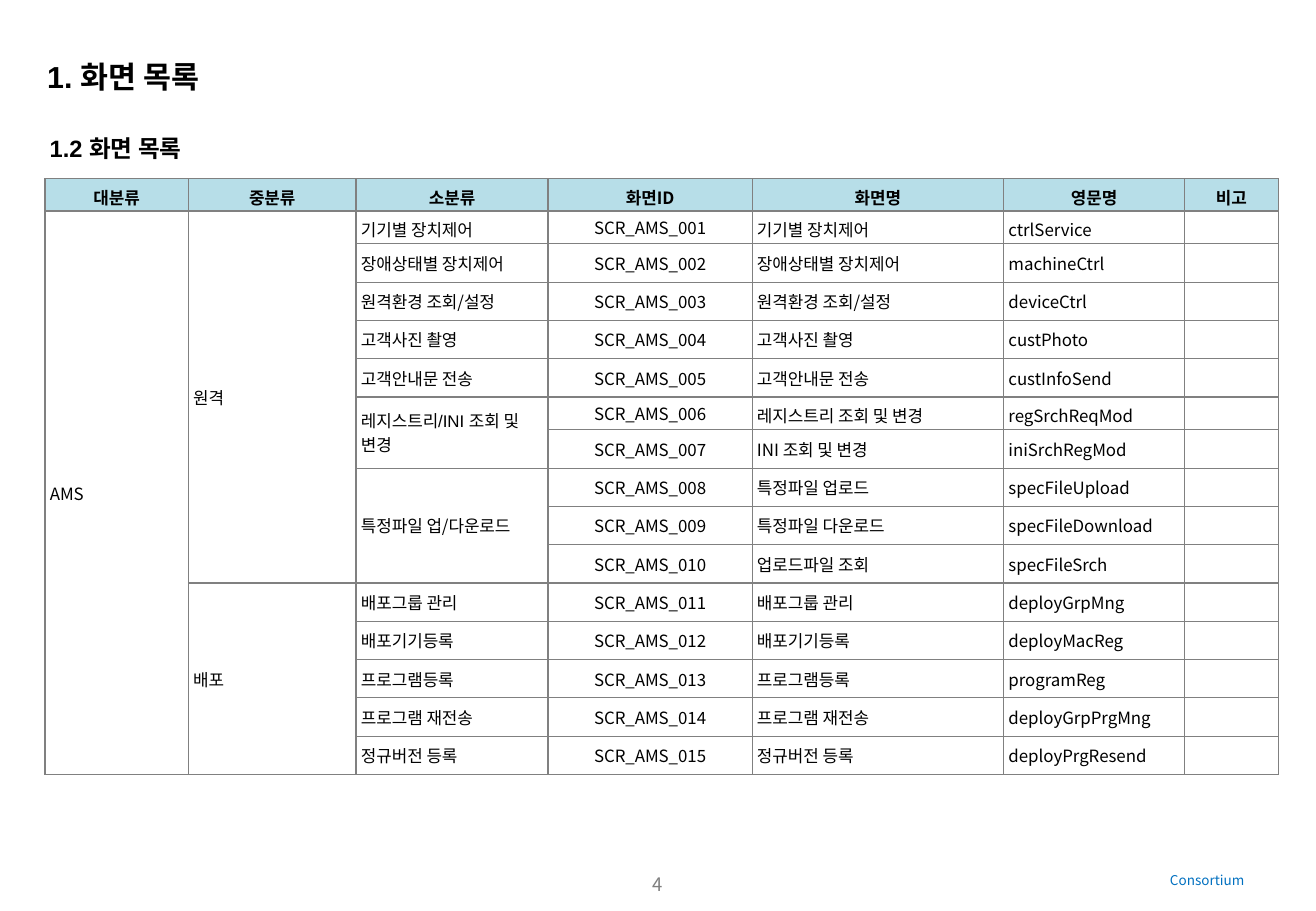
from dataclasses import dataclass

from lxml.etree import SubElement
from pptx import Presentation
from pptx.dml.color import RGBColor
from pptx.enum.text import MSO_ANCHOR, PP_ALIGN
from pptx.oxml.ns import qn
from pptx.util import Inches, Pt


@dataclass(frozen=True)
class Theme:
    latin: str = "Arial"
    korean: str = "Noto Sans CJK KR"
    ink: str = "000000"
    grey: str = "808080"
    blue: str = "0070C0"
    header_fill: str = "B7DEE8"
    title_size: int = 18
    subtitle_size: int = 14
    page_size: int = 11
    table_size: int = 10
    footer_size: int = 8
    border_width: float = 0.75


HEADERS = ["대분류", "중분류", "소분류", "화면ID", "화면명", "영문명", "비고"]
COLUMN_WIDTHS = [1.18, 1.38, 1.58, 1.68, 2.07, 1.49, 0.77]
ID_COLUMN = 3

# Subcategory, screen name, English name
SCREENS = [
    ("기기별 장치제어", "기기별 장치제어", "ctrlService"),
    ("장애상태별 장치제어", "장애상태별 장치제어", "machineCtrl"),
    ("원격환경 조회/설정", "원격환경 조회/설정", "deviceCtrl"),
    ("고객사진 촬영", "고객사진 촬영", "custPhoto"),
    ("고객안내문 전송", "고객안내문 전송", "custInfoSend"),
    ("레지스트리/INI 조회 및 변경", "레지스트리 조회 및 변경", "regSrchReqMod"),
    ("", "INI 조회 및 변경", "iniSrchRegMod"),
    ("특정파일 업/다운로드", "특정파일 업로드", "specFileUpload"),
    ("", "특정파일 다운로드", "specFileDownload"),
    ("", "업로드파일 조회", "specFileSrch"),
    ("배포그룹 관리", "배포그룹 관리", "deployGrpMng"),
    ("배포기기등록", "배포기기등록", "deployMacReg"),
    ("프로그램등록", "프로그램등록", "programReg"),
    ("프로그램 재전송", "프로그램 재전송", "deployGrpPrgMng"),
    ("정규버전 등록", "정규버전 등록", "deployPrgResend"),
]
CATEGORIES = {1: ("AMS", "원격"), 11: ("", "배포")}
# First row, column, number of rows
MERGES = [(1, 0, 15), (1, 1, 10), (11, 1, 5), (6, 2, 2), (8, 2, 3)]
LATIN_ROWS = {4, 5, 6, 11, 12, 13}

TABLE_HEIGHT = 4.9
LOW_ROWS = {0: 0.26, 1: 0.27, 6: 0.27}
ROW_HEIGHT = (TABLE_HEIGHT - sum(LOW_ROWS.values())) / (len(SCREENS) + 1 - len(LOW_ROWS))


class SlideBuilder:
    def __init__(self, slide, theme):
        self.slide = slide
        self.theme = theme

    def style(self, paragraph, size, color, bold=False, font=None):
        for run in paragraph.runs:
            run.font.size = Pt(size)
            run.font.bold = bold
            run.font.color.rgb = RGBColor.from_string(color)
            run.font.name = font or self.theme.korean
            SubElement(run.font._element, qn("a:ea"), typeface=self.theme.korean)

    def text(self, box, words, size, color, bold=False, font=None, align=PP_ALIGN.LEFT):
        frame = self.slide.shapes.add_textbox(*map(Inches, box)).text_frame
        frame.word_wrap = True
        frame.text = words
        paragraph = frame.paragraphs[0]
        paragraph.alignment = align
        self.style(paragraph, size, color, bold, font)

    def border(self, cell):
        properties = cell._tc.get_or_add_tcPr()
        for side in ("a:lnL", "a:lnR", "a:lnT", "a:lnB"):
            line = SubElement(properties, qn(side), w=str(Pt(self.theme.border_width)))
            fill = SubElement(line, qn("a:solidFill"))
            SubElement(fill, qn("a:srgbClr"), val=self.theme.grey)

    def cell(self, cell, words, row, column):
        theme = self.theme
        header = row == 0
        is_id = column == ID_COLUMN and not header
        self.border(cell)
        if header:
            cell.fill.solid()
            cell.fill.fore_color.rgb = RGBColor.from_string(theme.header_fill)
        else:
            cell.fill.background()
        cell.vertical_anchor = MSO_ANCHOR.MIDDLE
        cell.margin_left = cell.margin_right = Inches(0.1 if header else 0 if is_id else 0.04)
        cell.margin_top = cell.margin_bottom = Inches(0 if is_id else 0.05)
        cell.text_frame.text = words
        paragraph = cell.text_frame.paragraphs[0]
        paragraph.alignment = PP_ALIGN.CENTER if header or is_id else PP_ALIGN.LEFT
        if words and (header or column in (2, 4, 5)):
            paragraph.space_before = Pt(theme.table_size * 0.2)
        font = theme.latin if row in LATIN_ROWS and column in (2, 4) else theme.korean
        self.style(paragraph, theme.table_size, theme.ink, header, font)
        if not words:
            SubElement(paragraph._p, qn("a:endParaRPr"), sz=str(theme.table_size * 100))

    def table(self, left, top, rows):
        table = self.slide.shapes.add_table(
            len(rows), len(HEADERS), Inches(left), Inches(top),
            Inches(sum(COLUMN_WIDTHS)), Inches(TABLE_HEIGHT)).table
        table.first_row = table.horz_banding = False
        for column, width in zip(table.columns, COLUMN_WIDTHS):
            column.width = Inches(width)
        for r, values in enumerate(rows):
            table.rows[r].height = Inches(LOW_ROWS.get(r, ROW_HEIGHT))
            for c, words in enumerate(values):
                self.cell(table.cell(r, c), words, r, c)
        for row, column, count in MERGES:
            table.cell(row, column).merge(table.cell(row + count - 1, column))


def screen_rows():
    rows = [HEADERS]
    for number, (group, name, english) in enumerate(SCREENS, 1):
        rows.append([*CATEGORIES.get(number, ("", "")), group,
                     f"SCR_AMS_{number:03}", name, english, ""])
    return rows


def main():
    deck = Presentation()
    deck.slide_width, deck.slide_height = Inches(10.83), Inches(7.5)
    theme = Theme()
    page = SlideBuilder(deck.slides.add_slide(deck.slide_layouts[6]), theme)
    page.text((9.53, 7.13, 1.02, 0.24), "Consortium", theme.footer_size, theme.blue)
    page.text((3.96, 7.14, 2.91, 0.32), "4", theme.page_size, theme.grey,
              align=PP_ALIGN.CENTER)
    page.text((0.29, 0.43, 2.37, 0.4), "1. 화면 목록", theme.title_size, theme.ink,
              True, theme.latin)
    page.text((0.31, 1.05, 1.81, 0.34), "1.2 화면 목록", theme.subtitle_size, theme.ink,
              True, theme.latin)
    page.table(0.37, 1.47, screen_rows())
    deck.save("out.pptx")


if __name__ == "__main__":
    main()
